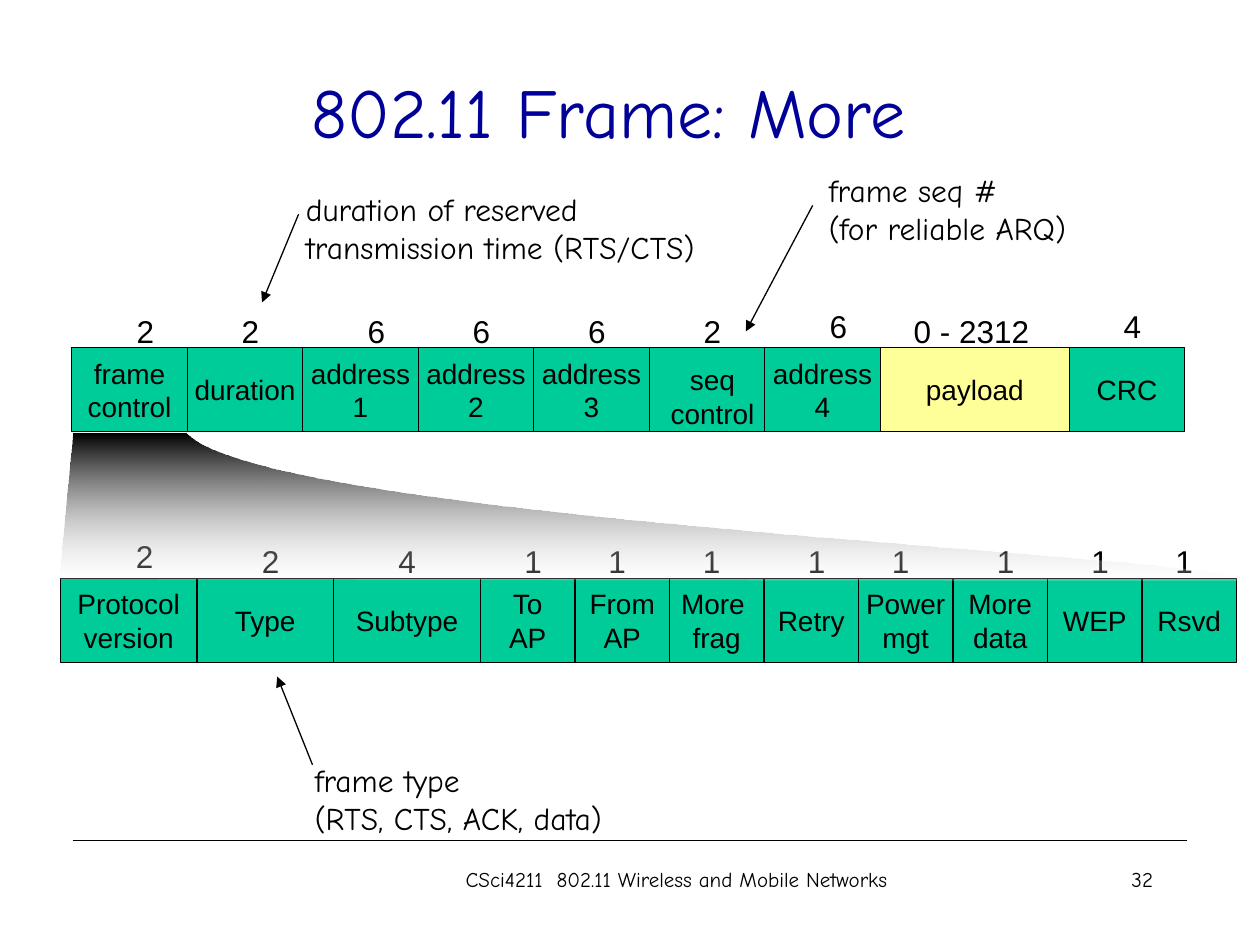
from lxml.etree import SubElement
from pptx import Presentation
from pptx.dml.color import RGBColor
from pptx.enum.shapes import MSO_CONNECTOR as CONN, MSO_SHAPE as SHAPE
from pptx.enum.text import MSO_ANCHOR as ANCHOR, MSO_AUTO_SIZE as AUTO, PP_ALIGN as ALIGN
from pptx.oxml.ns import qn
from pptx.util import Inches, Pt

COL = 1 / 12
ROW_H = 8 * COL
GREEN, YELLOW, BLACK, WHITE, NAVY = "00CC99", "FFFF99", "000000", "FFFFFF", "000099"
HAND = "Comic Neue"

FRAME = [
    ("frame\ncontrol", 11, "2", 5, 0), ("duration", 11, "2", 4, 0),
    ("address\n1", 11, "6", 5, 0), ("address\n2", 11, "6", 4, 0),
    ("address\n3", 11, "6", 4, 0), ("", 11, "2", 4, 0),
    ("address\n4", 11, "6", 5, 0.04), ("payload", 18, "0 - 2312", 2, 0),
    ("CRC", 11, "4", 4, 0.04),
]
CONTROL = [
    ("Protocol\nversion", 13, "2", 6, 0.04), ("Type", 13, "2", 5, 0),
    ("Subtype", 14, "4", 5, 0), ("To\nAP", 9, "1", 3, 0),
    ("From\nAP", 9, "1", 2, 0), ("More \nfrag", 9, "1", 2, 0),
    ("Retry", 9, "1", 3, 0), ("Power\nmgt", 9, "1", 2, 0),
    ("More\ndata", 9, "1", 3, 0), ("WEP", 9, "1", 3, 0), ("Rsvd", 9, "1", 2, 0),
]


def rgb(value):
    """Turn a hex string into a colour."""
    return RGBColor.from_string(value)


def write(sp, text, size=18, font="Arial", color=BLACK, align=ALIGN.LEFT,
          anchor=ANCHOR.TOP, wrap=False, auto=AUTO.NONE):
    """Fill a shape with formatted text, one paragraph per line."""
    tf = sp.text_frame
    tf.word_wrap, tf.auto_size, tf.vertical_anchor = wrap, auto, anchor
    tf.text = text
    for p in tf.paragraphs:
        p.alignment = align
        for r in p.runs:
            r.font.size, r.font.name = Pt(size), font
            r.font.color.rgb = rgb(color)


def add_text(s, box, text, **fmt):
    """Add a text box in a box of left, top, width and height."""
    write(s.shapes.add_textbox(*map(Inches, box)), text, **fmt)


def add_line(s, start, end, arrow=False):
    """Draw a thin black line, with an arrowhead at its end if asked."""
    line = s.shapes.add_connector(CONN.STRAIGHT, *map(Inches, start + end))
    line.line.color.rgb = rgb(BLACK)
    line.line.width = Pt(0.75)
    if arrow:
        SubElement(line.line._get_or_add_ln(), qn("a:tailEnd"), type="triangle")
    SubElement(line._element.spPr, qn("a:effectLst"))


def add_fields(s, left, top, fields):
    """Lay out a row of header fields with their byte or bit counts above."""
    for name, cols, count, shift, lift in fields:
        width = cols * COL
        sp = s.shapes.add_shape(SHAPE.RECTANGLE, *map(Inches, (left, top, width, ROW_H)))
        sp.shadow.inherit = False
        sp.fill.solid()
        sp.fill.fore_color.rgb = rgb(YELLOW if name == "payload" else GREEN)
        sp.line.color.rgb = rgb(BLACK)
        sp.line.width = Pt(0.75)
        write(sp, name, size=16, align=ALIGN.CENTER, anchor=ANCHOR.MIDDLE)
        label_w = 0.34 if len(count) == 1 else 1.12
        add_text(s, (left + shift * COL, top - 4 * COL - lift, label_w, 0.4), count,
                 auto=AUTO.SHAPE_TO_FIT_TEXT)
        left += width


def curve(points, steps=48):
    """Sample a cubic curve from its four control points."""
    a, b, c, d = points
    for i in range(1, steps + 1):
        t = i / steps
        u = 1 - t
        yield tuple(u**3 * a[k] + 3 * u * u * t * b[k] + 3 * u * t * t * c[k] + t**3 * d[k]
                    for k in (0, 1))


def add_zoom(s, left, top, width, height):
    """Spread a fading fan from the frame control field to the lower row."""
    right, base, neck = left + width, top + height, left + 1.01
    fan = curve([(right, base), (right + 0.17, base - 0.2), (left + 1.69, top + 0.71),
                 (neck, top)])
    outline = [(left, base - 0.02), (right, base), *fan]
    builder = s.shapes.build_freeform(Inches(left + 0.11), Inches(top))
    builder.add_line_segments([(Inches(x), Inches(y)) for x, y in outline], close=True)
    sp = builder.convert_to_shape()
    sp.shadow.inherit = False
    sp.line.fill.background()
    sp.fill.gradient()
    sp.fill.gradient_angle = 270
    for stop, color, position in zip(sp.fill.gradient_stops, (BLACK, WHITE), (0, 1)):
        stop.color.rgb = rgb(color)
        stop.position = position
    white = sp._element.spPr.findall(".//" + qn("a:srgbClr"))[-1]
    SubElement(white, qn("a:alpha"), val="18000")


def add_note(s, box, text, start, end):
    """Add a handwritten note and the arrow that leads from it."""
    add_text(s, box, text, font=HAND, auto=AUTO.SHAPE_TO_FIT_TEXT)
    add_line(s, start, end, arrow=True)


def add_title(s, left, top, width, height):
    """Place and format the title placeholder."""
    sp = s.shapes.title
    sp.left, sp.top, sp.width, sp.height = map(Inches, (left, top, width, height))
    write(sp, "802.11 Frame: More", size=40, font=HAND, color=NAVY,
          align=ALIGN.CENTER, anchor=ANCHOR.MIDDLE, wrap=True)


def add_footer(s, left, top, width):
    """Add the rule, the course name and the page number."""
    add_line(s, (left, top), (left + width, top))
    fmt = dict(size=12, font=HAND, wrap=True)
    add_text(s, (left + 2.75, top + 0.16, 4.08, 0.5),
             "CSci4211  802.11 Wireless and Mobile Networks", align=ALIGN.CENTER, **fmt)
    add_text(s, (left + 6.59, top + 0.16, 2.08, 0.5), "32", align=ALIGN.RIGHT, **fmt)


def main():
    """Build the slide and save it."""
    prs = Presentation()
    prs.slide_width, prs.slide_height = Inches(10), Inches(7.5)
    s = prs.slides.add_slide(prs.slide_layouts[5])
    add_title(s, 0.58, 0.25, 8.5, 1.25)
    add_footer(s, 0.58, 6.67, 8.84)
    add_fields(s, 0.57, 2.76, FRAME)
    add_text(s, (5.22, 2.83, 0.87, 0.64), "seq\ncontrol", size=16, align=ALIGN.CENTER,
             auto=AUTO.SHAPE_TO_FIT_TEXT)
    add_fields(s, 0.48, 4.59, CONTROL)
    add_zoom(s, 0.47, 3.44, 9.36, 1.17)
    add_note(s, (2.33, 1.46, 3.63, 0.7), "duration of reserved\ntransmission time (RTS/CTS)",
             (2.37, 1.7), (2.08, 2.4))
    add_note(s, (6.48, 1.31, 2.35, 0.7), "frame seq #\n(for reliable ARQ)",
             (6.45, 1.63), (5.92, 2.63))
    add_note(s, (2.4, 5.99, 2.82, 0.7), "frame type\n(RTS, CTS, ACK, data)",
             (2.48, 6.07), (2.2, 5.37))
    prs.save("out.pptx")


if __name__ == "__main__":
    main()
